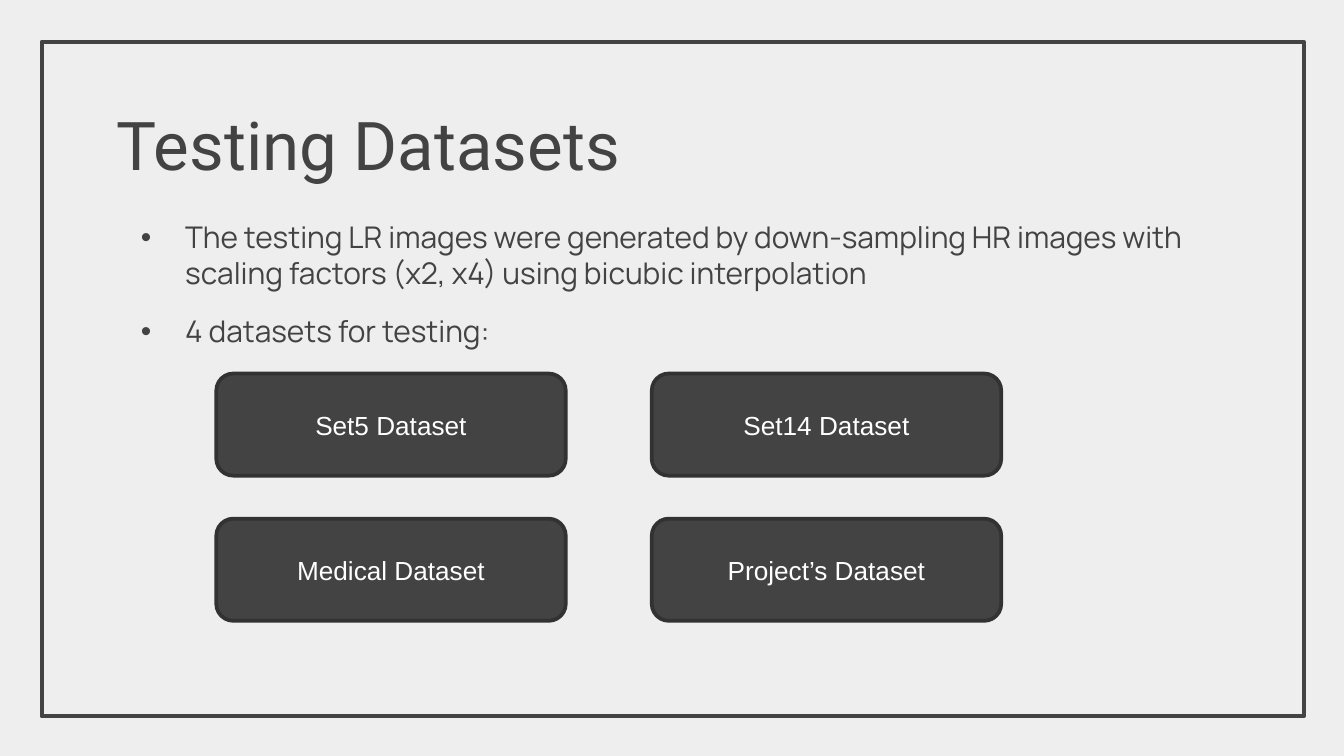
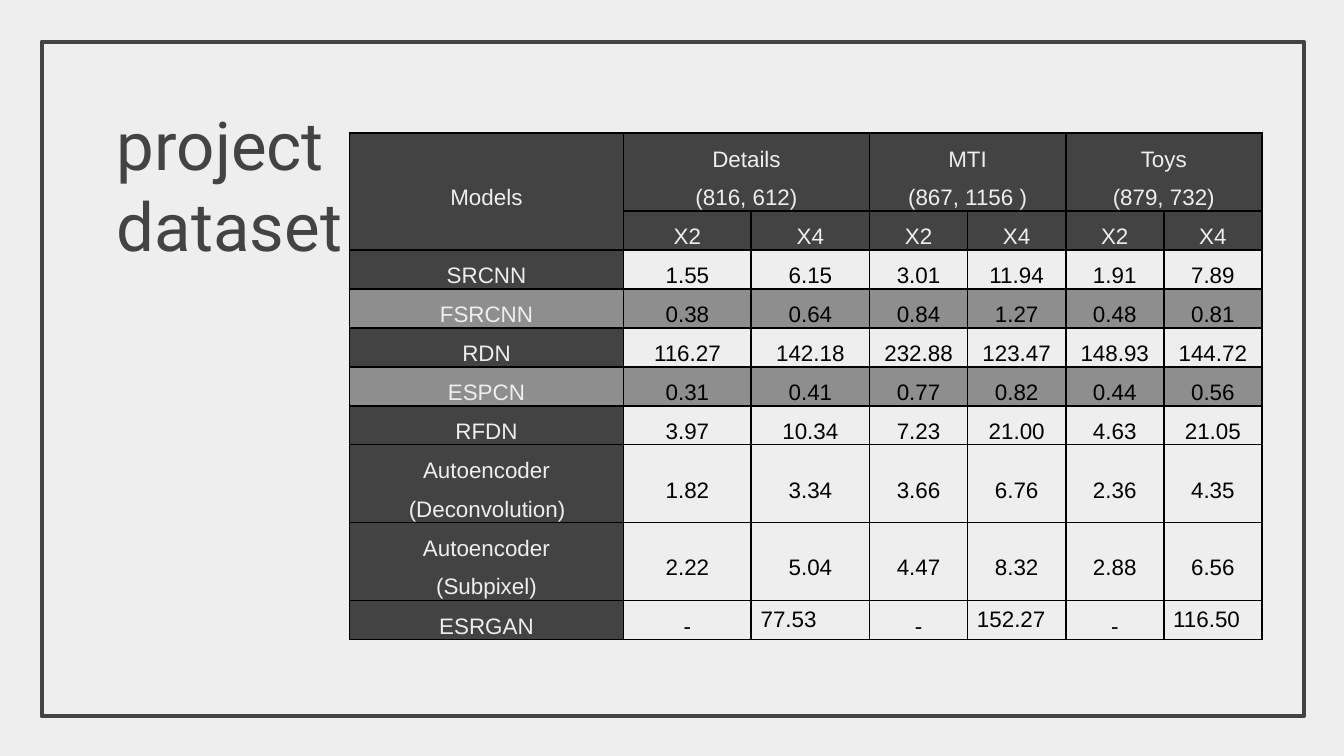
from lxml.etree import SubElement as Sub
from pptx import Presentation
from pptx.dml.color import RGBColor as RGB
from pptx.enum.shapes import MSO_SHAPE as Kind
from pptx.enum.text import MSO_ANCHOR as Anchor, MSO_AUTO_SIZE as Auto, PP_ALIGN as Align
from pptx.oxml.ns import qn
from pptx.util import Inches, Pt

HUES = {"paper": "EEEEEE", "dark": "434343", "edge": "323232",
        "band": "8E8E8E", "white": "FFFFFF", "black": "000000"}
HUES = {name: RGB.from_string(code) for name, code in HUES.items()}


def write(frame, text, face, size, hue, align=Align.LEFT):
    """Fill a text frame and give all its paragraphs one look."""
    frame.text = text
    for para in frame.paragraphs:
        para.alignment = align
        para.font.name = face
        para.font.size = Pt(size)
        para.font.color.rgb = HUES[hue]


def start(deck, text):
    """Add a framed slide with its title."""
    slide = deck.slides.add_slide(deck.slide_layouts[5])
    slide.background.fill.solid()
    slide.background.fill.fore_color.rgb = HUES["paper"]
    title = slide.shapes.title
    title.left, title.top = Inches(0.77), Inches(0.67)
    title.width, title.height = Inches(7.91), Inches(0.81)
    frame = title.text_frame
    frame.auto_size = Auto.NONE
    frame.vertical_anchor = Anchor.TOP
    frame.margin_left = frame.margin_right = Inches(0.1)
    frame.margin_top = frame.margin_bottom = Inches(0.1)
    write(frame, text, "Roboto", 36, "dark")
    border = slide.shapes.add_shape(
        Kind.RECTANGLE, Inches(0.31), Inches(0.31), Inches(9.39), Inches(5.02))
    border.shadow.inherit = False
    border.fill.background()
    border.line.color.rgb = HUES["dark"]
    border.line.width = Pt(2.25)
    return slide


deck = Presentation()
deck.slide_width = Inches(10)
deck.slide_height = Inches(10) * 9 // 16

# Testing datasets
slide = start(deck, "Testing Datasets")
body = slide.shapes.add_textbox(Inches(0.78), Inches(1.53), Inches(8.13), Inches(3.31))
frame = body.text_frame
frame.word_wrap = True
frame.margin_left = frame.margin_right = Inches(0.1)
frame.margin_top = frame.margin_bottom = Inches(0.1)
frame.text = (
    "The testing LR images were generated by down-sampling HR images with "
    "scaling factors (x2, x4) using bicubic interpolation\n4 datasets for testing:")
for i, para in enumerate(frame.paragraphs):
    props = para._p.get_or_add_pPr()
    props.set("marL", str(Inches(0.5)))
    props.set("indent", str(Inches(-0.33)))
    para.space_before = Pt(12 * i)
    Sub(props, qn("a:buFont"), typeface="Arial")
    Sub(props, qn("a:buChar"), char="•")
    para.font.name = "Manrope"
    para.font.size = Pt(16)
    para.font.color.rgb = HUES["dark"]

names = ["Set5 Dataset", "Set14 Dataset", "Medical Dataset", "Project’s Dataset"]
for i, name in enumerate(names):
    row, col = divmod(i, 2)
    box = slide.shapes.add_shape(
        Kind.ROUNDED_RECTANGLE, Inches(1.61 + 3.24 * col), Inches(2.78 + 1.08 * row),
        Inches(2.6), Inches(0.76))
    box.shadow.inherit = False
    box.fill.solid()
    box.fill.fore_color.rgb = HUES["dark"]
    box.line.color.rgb = HUES["edge"]
    box.line.width = Pt(2)
    box.text_frame.vertical_anchor = Anchor.MIDDLE
    write(box.text_frame, name, "Arial", 14, "white", Align.CENTER)

# Project dataset
slide = start(deck, "project \vdataset")
rows = [
    ["Models", "Details\n(816, 612)", "", "MTI\n(867, 1156 )", "", "Toys\n(879, 732)", ""],
    ["", "X2", "X4", "X2", "X4", "X2", "X4"],
    ["SRCNN", "1.55", "6.15", "3.01", "11.94", "1.91", "7.89"],
    ["FSRCNN", "0.38", "0.64", "0.84", "1.27", "0.48", "0.81"],
    ["RDN", "116.27", "142.18", "232.88", "123.47", "148.93", "144.72"],
    ["ESPCN", "0.31", "0.41", "0.77", "0.82", "0.44", "0.56"],
    ["RFDN", "3.97", "10.34", "7.23", "21.00", "4.63", "21.05"],
    ["Autoencoder (Deconvolution)", "1.82", "3.34", "3.66", "6.76", "2.36", "4.35"],
    ["Autoencoder\n(Subpixel)", "2.22", "5.04", "4.47", "8.32", "2.88", "6.56"],
    ["ESRGAN", "-", "77.53", "-", "152.27", "-", "116.50"],
]
wide = [2.04, 0.95, 0.88, 0.73, 0.73, 0.73, 0.73]
tall = [0.58 if r in (0, 7, 8) else 0.29 for r in range(len(rows))]
grid = slide.shapes.add_table(
    len(rows), len(wide), Inches(2.6), Inches(0.99),
    Inches(sum(wide)), Inches(sum(tall))).table
grid.first_row = grid.horz_banding = False
for col, width in zip(grid.columns, wide):
    col.width = Inches(width)
for row, height in zip(grid.rows, tall):
    row.height = Inches(height)

for r, row in enumerate(rows):
    for c, text in enumerate(row):
        cell = grid.cell(r, c)
        head = r < 2 or c == 0
        loose = r == 9 and c in (2, 4, 6)
        cell.vertical_anchor = Anchor.MIDDLE
        cell.margin_left = cell.margin_right = Inches(0.07)
        cell.margin_top = cell.margin_bottom = 0
        write(cell.text_frame, text, "Arial", 12, "paper" if head else "black",
              Align.LEFT if loose else Align.CENTER)
        if not loose:
            for para in cell.text_frame.paragraphs:
                para.line_spacing = 1.52
                props = para._p.get_or_add_pPr()
                props.set("marL", str(Inches(0.01)))
                props.set("indent", str(Inches(-0.01)))
        for side in ("lnL", "lnR", "lnT", "lnB"):
            line = Sub(cell._tc.get_or_add_tcPr(), qn(f"a:{side}"), w=str(Pt(1)))
            Sub(Sub(line, qn("a:solidFill")), qn("a:srgbClr"), val=str(HUES["black"]))
        if head or r in (3, 5):
            cell.fill.solid()
            cell.fill.fore_color.rgb = HUES["band" if r in (3, 5) else "dark"]
        else:
            cell.fill.background()

grid.cell(0, 0).merge(grid.cell(1, 0))
for c in (1, 3, 5):
    grid.cell(0, c).merge(grid.cell(0, c + 1))

deck.save("out.pptx")
